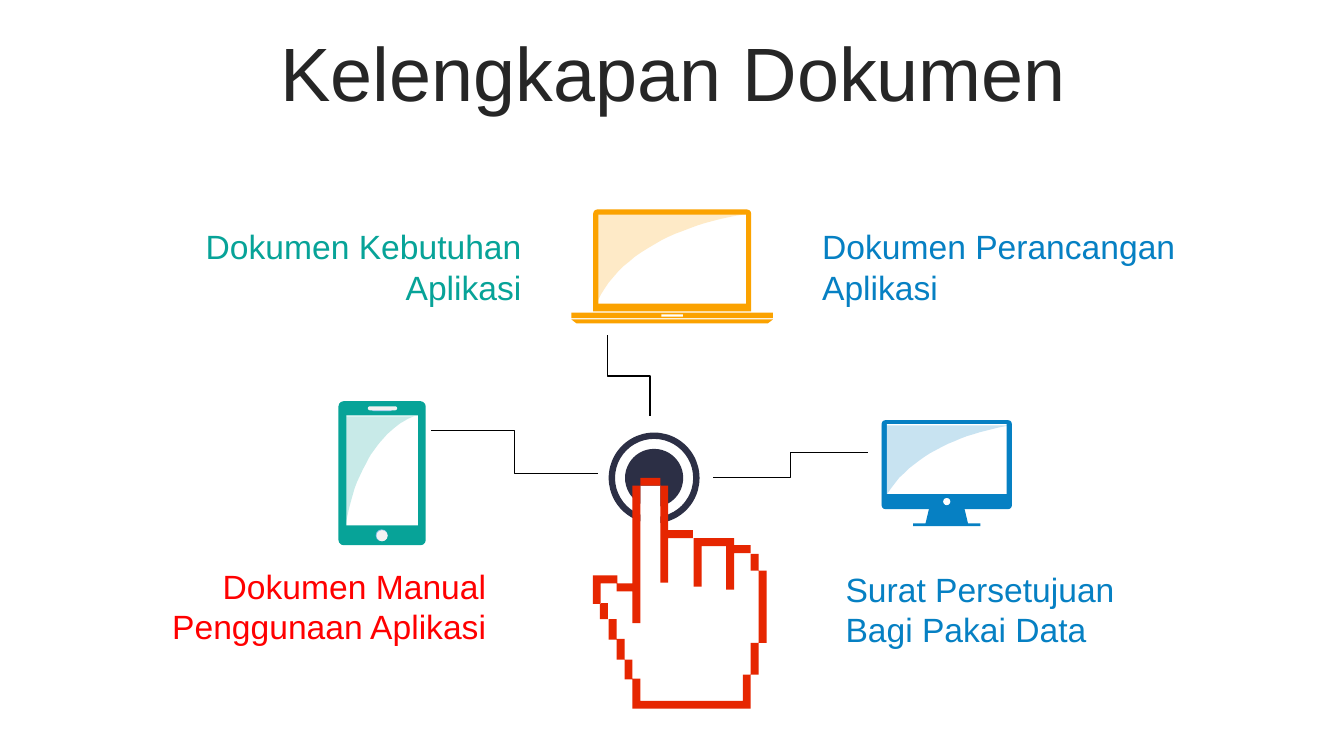
from lxml.etree import SubElement
from pptx import Presentation
from pptx.dml.color import RGBColor
from pptx.enum.shapes import MSO_CONNECTOR, MSO_SHAPE
from pptx.enum.text import MSO_ANCHOR, MSO_AUTO_SIZE, PP_ALIGN
from pptx.oxml.ns import qn
from pptx.util import Cm, Pt

WHITE = RGBColor(0xFF, 0xFF, 0xFF)
BLACK = RGBColor(0x00, 0x00, 0x00)
DARK = RGBColor(0x26, 0x26, 0x26)
NAVY = RGBColor(0x2C, 0x2F, 0x45)
RED = RGBColor(0xFF, 0x00, 0x00)
HAND_RED = RGBColor(0xE6, 0x26, 0x01)
TEAL = RGBColor(0x07, 0xA3, 0x98)
ORANGE = RGBColor(0xFB, 0xA2, 0x00)
BLUE = RGBColor(0x06, 0x80, 0xC3)
SKY = RGBColor(0x87, 0xBC, 0xE6)
GREY = RGBColor(0xF2, 0xF2, 0xF2)

CELL = 0.2
HAND_BARS = [
    (6, 0, 2.5, 1), (5, 1, 1, 17.3), (8.5, 1, 1, 12.2), (9.5, 6.6, 3.1, 1),
    (12.7, 7.6, 1, 6.1), (13.7, 7.6, 3.1, 1), (16.8, 7.6, 1, 6.5),
    (17.8, 8.5, 2.1, 1), (19.9, 9.6, 1, 2.1), (20.9, 11.7, 1, 9.1),
    (19.9, 20.8, 1, 4), (18.9, 24.8, 1, 4.3), (5, 28.1, 13.9, 1),
    (5, 25.3, 1, 2.8), (4, 22.9, 1, 2.5), (3, 20.3, 1, 2.6),
    (2, 17.8, 1, 2.6), (0.9, 15.8, 1, 2), (0, 12.3, 1, 3.6),
    (1, 12.3, 2.1, 1), (3, 13.3, 2, 1),
]
PALM = [
    (6, 1), (8.5, 1), (8.5, 7.6), (12.7, 7.6), (12.7, 8.4), (16.8, 8.4),
    (16.8, 9.4), (19.9, 9.4), (19.9, 11.7), (21, 11.7), (21, 20.8),
    (19.9, 20.8), (19.9, 24.8), (18.9, 24.8), (18.9, 28.2), (5.5, 28.2),
    (5.5, 25.3), (5, 25.3), (5, 22.9), (3.7, 22.9), (3.7, 20.3),
    (2.5, 20.3), (2.5, 17.8), (1.5, 17.8), (1.5, 15.9), (0.2, 15.9),
    (0.2, 13.3), (3.2, 13.3), (4.6, 13.7), (5.5, 13.7), (5.5, 13.2), (6, 13.2),
]


def paint(sp, color, alpha=None):
    sp.shadow.inherit = False
    sp.fill.solid()
    sp.fill.fore_color.rgb = color
    sp.line.fill.background()
    if alpha:
        clr = sp._element.spPr.find(qn("a:solidFill"))[0]
        SubElement(clr, qn("a:alpha")).set("val", str(alpha * 1000))


def add_preset(slide, kind, x, y, w, h, color, adj=None):
    sp = slide.shapes.add_shape(kind, Cm(x), Cm(y), Cm(w), Cm(h))
    if adj is not None:
        sp.adjustments[0] = adj
    paint(sp, color)


def add_outline(slide, x, y, contours, color, alpha=None):
    contours = [[(px * 100, py * 100) for px, py in pts] for pts in contours]
    fb = slide.shapes.build_freeform(*contours[0][0], scale=Cm(0.01))
    fb.add_line_segments(contours[0][1:], close=True)
    for pts in contours[1:]:
        fb.move_to(*pts[0])
        fb.add_line_segments(pts[1:], close=True)
    paint(fb.convert_to_shape(Cm(x), Cm(y)), color, alpha)


def add_glare(slide, x, y, w, h, color):
    pts = [(0, 0)]
    for i in range(25):
        t = i / 24
        u = 1 - t
        px = 0.48 * u * u * t + 1.86 * u * t * t + t ** 3
        py = u ** 3 + 1.2 * u * u * t + 0.27 * u * t * t
        pts.append((px * w, py * h))
    add_outline(slide, x, y, [pts], color, 22)


def add_text(slide, x, y, w, h, lines, size, color, align, spacing=None):
    tf = slide.shapes.add_textbox(Cm(x), Cm(y), Cm(w), Cm(h)).text_frame
    tf.word_wrap = True
    tf.auto_size = MSO_AUTO_SIZE.NONE
    tf.vertical_anchor = MSO_ANCHOR.MIDDLE
    for i, line in enumerate(lines):
        p = tf.add_paragraph() if i else tf.paragraphs[0]
        p.alignment = align
        p.line_spacing = spacing
        r = p.add_run()
        r.text = line
        r.font.size = Pt(size)
        r.font.name = "Arial"
        r.font.color.rgb = color


def add_elbow(slide, x1, y1, x2, y2, rotation=0):
    cn = slide.shapes.add_connector(
        MSO_CONNECTOR.ELBOW, Cm(x1), Cm(y1), Cm(x2), Cm(y2))
    cn.line.color.rgb = BLACK
    cn.line.width = Pt(1)
    spPr = cn._element.spPr
    SubElement(spPr, qn("a:effectLst"))
    if rotation:
        spPr.find(qn("a:xfrm")).set("rot", str(rotation * 60000))


def draw_target(slide, x, y, d):
    add_preset(slide, MSO_SHAPE.DONUT, x, y, d, d, NAVY, 0.07)
    inset = d * 0.18
    add_preset(slide, MSO_SHAPE.OVAL, x + inset, y + inset,
               d - 2 * inset, d - 2 * inset, NAVY)


def draw_hand(slide, x, y):
    palm = [(px * CELL, py * CELL) for px, py in PALM]
    add_outline(slide, x, y, [palm], WHITE)
    bars = []
    for bx, by, bw, bh in HAND_BARS:
        l, t, r, b = (v * CELL for v in (bx, by, bx + bw, by + bh))
        bars.append([(l, t), (r, t), (r, b), (l, b)])
    add_outline(slide, x, y, bars, HAND_RED)


def draw_tablet(slide, x, y, w, h):
    add_preset(slide, MSO_SHAPE.ROUNDED_RECTANGLE, x, y, w, h, TEAL, 0.06)
    add_preset(slide, MSO_SHAPE.RECTANGLE, x + 0.2, y + 0.36, w - 0.4, h - 0.86, WHITE)
    add_preset(slide, MSO_SHAPE.ROUNDED_RECTANGLE, x + 0.84, y + 0.15, 0.51, 0.1, SKY, 0.5)
    add_preset(slide, MSO_SHAPE.OVAL, x + 0.94, y + 3.23, 0.3, 0.3, SKY)
    add_glare(slide, x + 0.18, y + 0.38, 1.73, 2.74, TEAL)
    add_preset(slide, MSO_SHAPE.ROUNDED_RECTANGLE, x + 0.74, y + 0.13, 0.74, 0.1, GREY, 0.5)
    add_preset(slide, MSO_SHAPE.OVAL, x + 0.96, y + 3.25, 0.28, 0.28, GREY)


def draw_laptop(slide, x, y, w, h):
    add_preset(slide, MSO_SHAPE.ROUND_2_SAME_RECTANGLE, x + 0.55, y, w - 1.1, 2.57, ORANGE, 0.04)
    add_preset(slide, MSO_SHAPE.RECTANGLE, x + 0.68, y + 0.13, w - 1.36, 2.24, WHITE)
    add_preset(slide, MSO_SHAPE.RECTANGLE, x, y + 2.6, w, 0.14, ORANGE)
    add_preset(slide, MSO_SHAPE.RECTANGLE, x + w / 2 - 0.27, y + 2.64, 0.54, 0.06, WHITE)
    foot = [(0, 0), (w, 0), (w - 0.13, 0.1), (0.13, 0.1)]
    add_outline(slide, x, y + h - 0.1, [foot], ORANGE)
    add_glare(slide, x + 0.66, y + 0.1, 3.84, 2.21, ORANGE)


def draw_monitor(slide, x, y, w, h):
    add_preset(slide, MSO_SHAPE.ROUNDED_RECTANGLE, x, y, w, 2.24, BLUE, 0.04)
    add_preset(slide, MSO_SHAPE.RECTANGLE, x + 0.13, y + 0.1, w - 0.26, 1.76, WHITE)
    add_preset(slide, MSO_SHAPE.OVAL, x + w / 2 - 0.09, y + 1.96, 0.18, 0.18, WHITE)
    stand = [(1.2, 2.2), (2.08, 2.2), (2.18, h - 0.05), (1.1, h - 0.05)]
    add_outline(slide, x, y, [stand], BLUE)
    add_preset(slide, MSO_SHAPE.RECTANGLE, x + 0.79, y + h - 0.07, 1.7, 0.07, BLUE)
    add_glare(slide, x, y + 0.13, w, 2, BLUE)


def draw_connectors(slide):
    add_elbow(slide, 10.87, 10.85, 15.06, 11.94)
    add_elbow(slide, 16.87, 8.94, 14.83, 10.01, 270)
    add_elbow(slide, 17.98, 12.04, 21.87, 11.4)


def draw_labels(slide):
    labels = [
        (20.47, 5.56, 10.19, ["Dokumen Perancangan Aplikasi"], BLUE, PP_ALIGN.LEFT),
        (0.89, 5.56, 12.5, ["Dokumen Kebutuhan", "Aplikasi"], TEAL, PP_ALIGN.RIGHT),
        (0, 14.12, 12.5, ["Dokumen Manual", "Penggunaan Aplikasi"], RED, PP_ALIGN.RIGHT),
        (21.06, 14.2, 10.19, ["Surat Persetujuan", "Bagi Pakai Data"], BLUE, PP_ALIGN.LEFT),
    ]
    for x, y, w, lines, color, align in labels:
        add_text(slide, x, y, w, 2.31, lines, 24, color, align)


def main():
    prs = Presentation()
    prs.slide_width, prs.slide_height = Cm(33.87), Cm(19.05)
    slide = prs.slides.add_slide(prs.slide_layouts[6])
    draw_target(slide, 15.34, 10.9, 2.29)
    add_text(slide, 0.89, 0.94, 32.16, 2.01, ["Kelengkapan Dokumen"],
             54, DARK, PP_ALIGN.CENTER, 0.9)
    draw_hand(slide, 14.94, 12.04)
    draw_tablet(slide, 8.53, 10.11, 2.2, 3.63)
    draw_laptop(slide, 14.4, 5.28, 5.08, 2.87)
    draw_monitor(slide, 22.22, 10.59, 3.28, 2.67)
    draw_connectors(slide)
    draw_labels(slide)
    prs.save("out.pptx")


if __name__ == "__main__":
    main()
